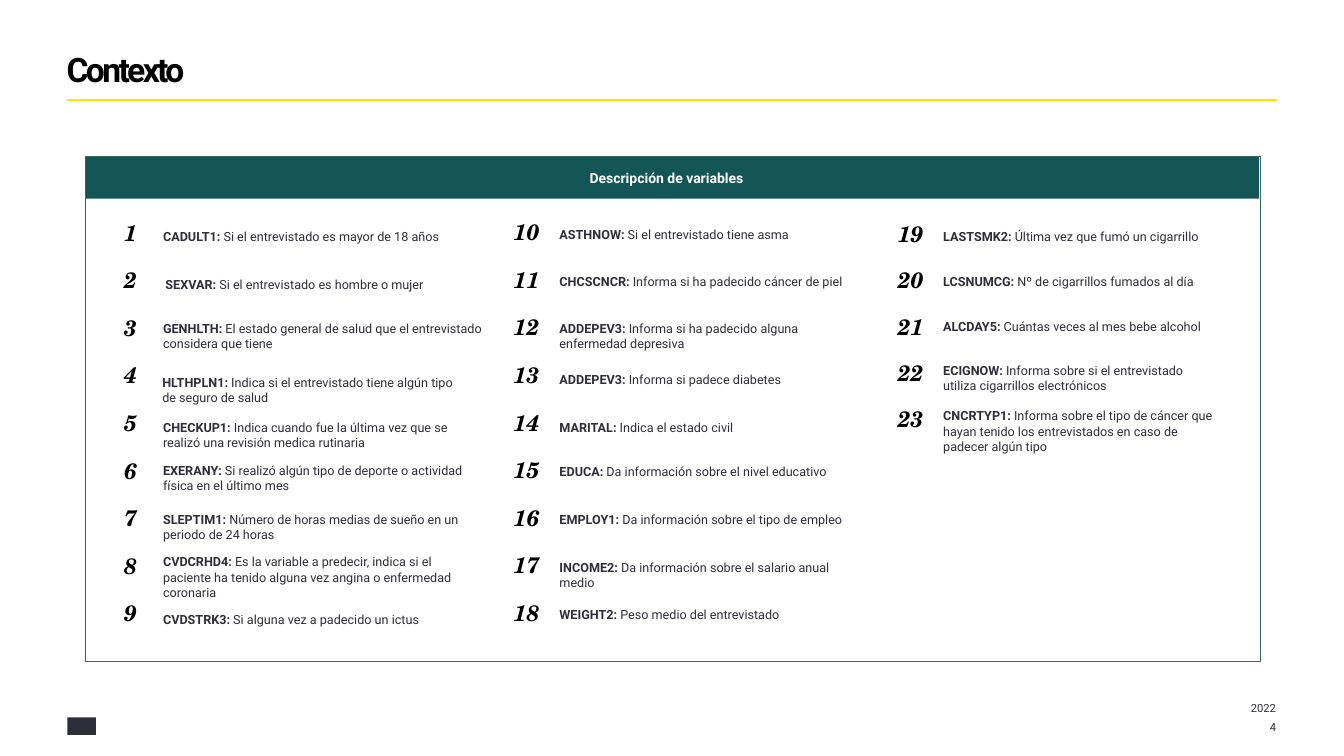
from lxml.etree import SubElement
from pptx import Presentation
from pptx.dml.color import RGBColor
from pptx.enum.shapes import MSO_CONNECTOR, MSO_SHAPE
from pptx.enum.text import MSO_ANCHOR, MSO_AUTO_SIZE, PP_ALIGN
from pptx.oxml.ns import qn
from pptx.util import Cm, Pt

COLORS = {"ink": "2E2E38", "black": "000000", "white": "FFFFFF",
          "yellow": "FFE600", "green": "135655", "border": "33695F"}
BODY = {"name": "Roboto", "size": Pt(9), "color": "ink", "bold": False}
LABEL = {**BODY, "bold": True}
FOOTER = {**BODY, "size": Pt(8)}
HEADER = {**LABEL, "size": Pt(10), "color": "white"}
HEADING = {**LABEL, "size": Pt(24), "color": "black"}
NUMBER = {"name": "TeX Gyre Schola", "size": Pt(16), "color": "black",
          "bold": True, "italic": True}

COLUMNS = [
    {"number": (2.72, 5.51, 1.14), "pitch": 1.2, "left": 4.11, "width": 7.57, "variables": [
        (5.77, "CADULT1", "Si el entrevistado es mayor de 18 años"),
        (6.99, "SEXVAR", "Si el entrevistado es hombre o mujer"),
        (8.08, "GENHLTH", "El estado general de salud que el entrevistado considera que tiene"),
        (9.45, "HLTHPLN1", "Indica si el entrevistado tiene algún tipo de seguro de salud"),
        (10.57, "CHECKUP1", "Indica cuando fue la última vez que se realizó una revisión medica rutinaria"),
        (11.66, "EXERANY", "Si realizó algún tipo de deporte o actividad física en el último mes"),
        (12.9, "SLEPTIM1", "Número de horas medias de sueño en un periodo de 24 horas"),
        (13.97, "CVDCRHD4", "Es la variable a predecir, indica si el paciente ha tenido "
                            "alguna vez angina o enfermedad coronaria"),
        (15.42, "CVDSTRK3", "Si alguna vez a padecido un ictus")]},
    {"number": (12.7, 5.5, 1.14), "pitch": 1.2, "left": 14.1, "width": 7.57, "variables": [
        (5.72, "ASTHNOW", "Si el entrevistado tiene asma"),
        (6.91, "CHCSCNCR", "Informa si ha padecido cáncer de piel"),
        (8.08, "ADDEPEV3", "Informa si ha padecido alguna enfermedad depresiva"),
        (9.37, "ADDEPEV3", "Informa si padece diabetes"),
        (10.59, "MARITAL", "Indica el estado civil"),
        (11.68, "EDUCA", "Da información sobre el nivel educativo"),
        (12.9, "EMPLOY1", "Da información sobre el tipo de empleo"),
        (14.1, "INCOME2", "Da información sobre el salario anual medio"),
        (15.29, "WEIGHT2", "Peso medio del entrevistado")]},
    {"number": (22.43, 5.54, 1.04), "pitch": 1.17, "left": 23.77, "width": 6.88, "variables": [
        (5.77, "LASTSMK2", "Última vez que fumó un cigarrillo"),
        (6.91, "LCSNUMCG", "Nº de cigarrillos fumados al día"),
        (8.03, "ALCDAY5", "Cuántas veces al mes bebe alcohol"),
        (9.14, "ECIGNOW", "Informa sobre si el entrevistado utiliza cigarrillos electrónicos"),
        (10.29, "CNCRTYP1", "Informa sobre el tipo de cáncer que hayan tenido los "
                            "entrevistados en caso de padecer algún tipo")]},
]
ADJUSTMENTS = {"SEXVAR": {"left": 4.17}, "GENHLTH": {"width": 8.03}, "HLTHPLN1": {"left": 4.09}}


def rgb(color):
    return RGBColor.from_string(COLORS[color])


class SlideBuilder:
    def __init__(self, slide):
        self.slide = slide

    def fill_text(self, frame, runs, align=PP_ALIGN.LEFT, anchor=MSO_ANCHOR.TOP, insets=(0, 0, 0, 0)):
        left, top, right, bottom = map(Cm, insets)
        settings = {"word_wrap": True, "auto_size": MSO_AUTO_SIZE.NONE, "vertical_anchor": anchor,
                    "margin_left": left, "margin_top": top,
                    "margin_right": right, "margin_bottom": bottom}
        for key, value in settings.items():
            setattr(frame, key, value)
        paragraph = frame.paragraphs[0]
        paragraph.alignment = align
        for text, style in runs:
            run = paragraph.add_run()
            run.text = text
            for key, value in style.items():
                if key == "color":
                    run.font.color.rgb = rgb(value)
                else:
                    setattr(run.font, key, value)
        return paragraph

    def title(self, text, box):
        heading = self.slide.shapes.title
        for key, value in zip(("left", "top", "width", "height"), box):
            setattr(heading, key, Cm(value))
        paragraph = self.fill_text(heading.text_frame, [(text, HEADING)],
                                   insets=(0.18, 0.13, 0.18, 0.13))
        paragraph.line_spacing = Pt(42.7)
        paragraph.runs[0].font._element.set("spc", "-190")

    def text(self, runs, box, **layout):
        label = self.slide.shapes.add_textbox(*map(Cm, box))
        self.fill_text(label.text_frame, runs, **layout)

    def rectangle(self, box, fill=None, line=None):
        panel = self.slide.shapes.add_shape(MSO_SHAPE.RECTANGLE, *map(Cm, box))
        panel.shadow.inherit = False
        if fill:
            panel.fill.solid()
            panel.fill.fore_color.rgb = rgb(fill)
        else:
            panel.fill.background()
        if line:
            panel.line.color.rgb = rgb(line)
            panel.line.width = Pt(0.75)
        else:
            panel.line.fill.background()
        return panel

    def rule(self, start, end, color, width):
        divider = self.slide.shapes.add_connector(MSO_CONNECTOR.STRAIGHT, *map(Cm, start + end))
        divider.line.color.rgb = rgb(color)
        divider.line.width = Pt(width)
        SubElement(divider._element.spPr, qn("a:effectLst"))

    def column(self, column, first):
        number_left, number_top, number_width = column["number"]
        for row, (top, variable, description) in enumerate(column["variables"]):
            place = {**column, **ADJUSTMENTS.get(variable, {})}
            self.text([(str(first + row), NUMBER)],
                      (number_left, number_top + row * column["pitch"], number_width, 0.69),
                      align=PP_ALIGN.CENTER)
            self.text([(f"{variable}: ", LABEL), (description, BODY)],
                      (place["left"], top, place["width"], 0.69))


def main():
    presentation = Presentation()
    presentation.slide_width, presentation.slide_height = Cm(33.87), Cm(19.05)
    builder = SlideBuilder(presentation.slides.add_slide(presentation.slide_layouts[5]))

    builder.title("Contexto", (1.5, 0.61, 31.57, 1.6))
    builder.rule((1.7, 2.52), (32.18, 2.52), "yellow", 1.5)
    builder.rectangle((1.7, 18.08, 0.72, 0.44), fill="ink")
    for text, box in (("2022", (25.63, 17.55, 6.53, 0.51)), ("4", (30.33, 18.03, 1.83, 0.51))):
        builder.text([(text, FOOTER)], box, align=PP_ALIGN.RIGHT, insets=(0.25, 0.13, 0, 0.13))

    header = builder.rectangle((2.16, 3.94, 29.57, 1.07), fill="green")
    builder.fill_text(header.text_frame, [("Descripción de variables", HEADER)],
                      align=PP_ALIGN.CENTER, anchor=MSO_ANCHOR.MIDDLE, insets=(0, 0, 0.3, 0))
    builder.rectangle((2.16, 3.94, 29.6, 12.73), line="border")

    first = 1
    for column in COLUMNS:
        builder.column(column, first)
        first += len(column["variables"])

    presentation.save("out.pptx")


if __name__ == "__main__":
    main()
